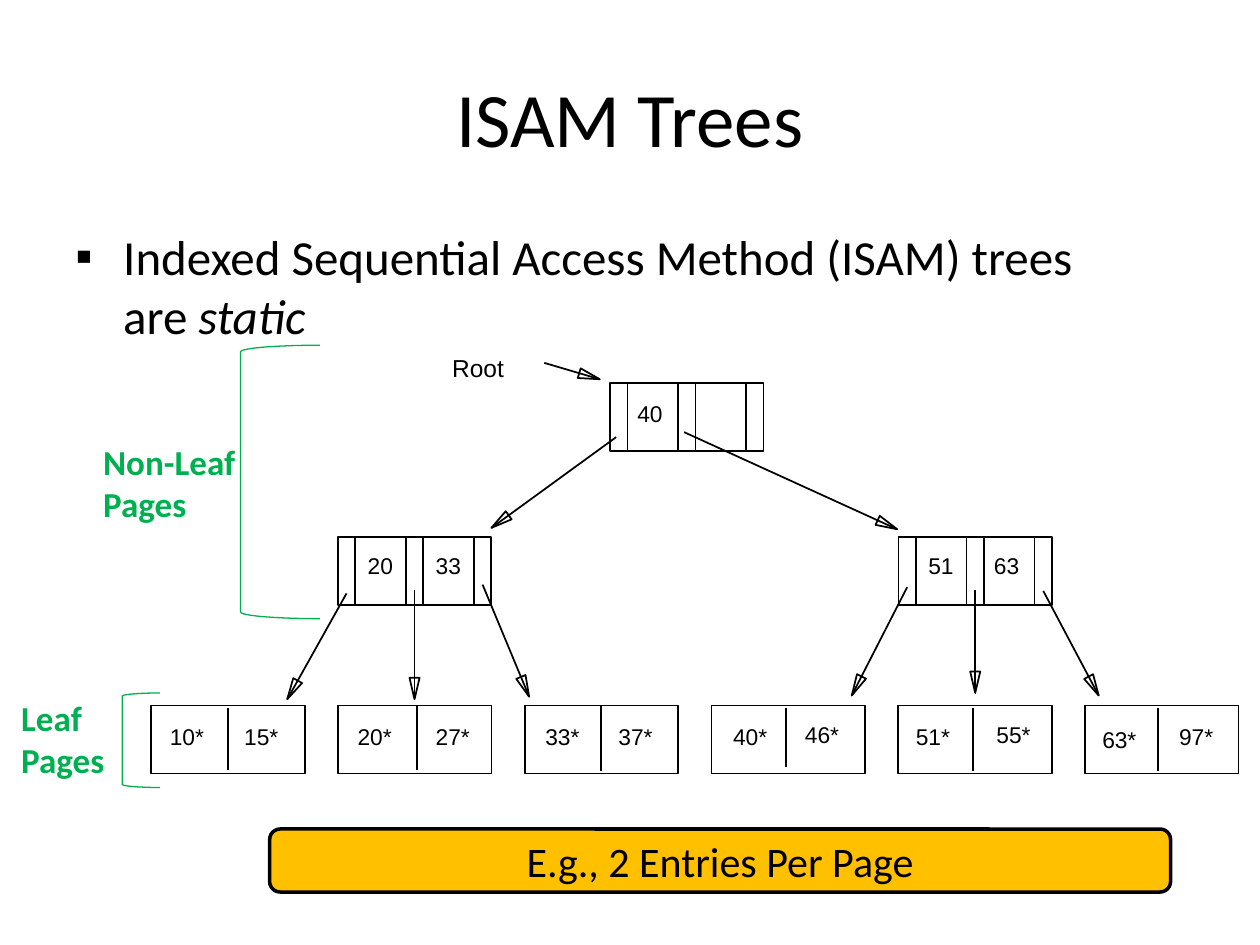
import math

from lxml import etree
from pptx import Presentation
from pptx.dml.color import RGBColor
from pptx.enum import shapes, text
from pptx.oxml import ns
from pptx.util import Inches, Pt

COLORS = {"black": "000000", "green": "00B050", "amber": "FFC000"}

NODE_WIDTH, NODE_HEIGHT = 1.22, 0.54
POINTER_WIDTH, KEY_WIDTH = 0.14, 0.4
LEAF_LEFT, LEAF_TOP, LEAF_STEP = 1.2, 5.6, 7.41 / 5
HEAD_LENGTH, HEAD_HALF_WIDTH = 0.17, 0.04

# Left, top and (text, left, top) of each key
INDEX_NODES = [
    (4.84, 3.04, [("40", 4.96, 3.12)]),
    (2.68, 4.26, [("20", 2.82, 4.33), ("33", 3.36, 4.33)]),
    (7.13, 4.26, [("51", 7.27, 4.33), ("63", 7.79, 4.33)]),
]
# Divider x, top and bottom, then (text, left, top) of each entry
LEAVES = [
    ((1.81, 5.62, 6.11), [("10*", 1.25, 5.69), ("15*", 1.84, 5.69)]),
    ((3.31, 5.6, 6.11), [("20*", 2.74, 5.69), ("27*", 3.36, 5.69)]),
    ((4.77, 5.6, 6.12), [("33*", 4.23, 5.69), ("37*", 4.81, 5.69)]),
    ((6.24, 5.62, 6.09), [("40*", 5.72, 5.69), ("46*", 6.29, 5.67)]),
    ((7.72, 5.62, 6.12), [("51*", 7.17, 5.69), ("55*", 7.81, 5.67)]),
    ((9.19, 5.62, 6.12), [("63*", 8.65, 5.71), ("97*", 9.26, 5.69)]),
]
ARROWS = [
    (4.32, 2.88, 4.76, 3.01),
    (4.89, 3.47, 3.9, 4.19),
    (5.43, 3.43, 7.12, 4.2),
    (2.75, 4.71, 2.28, 5.55),
    (3.29, 4.68, 3.29, 5.55),
    (3.83, 4.64, 4.2, 5.53),
    (7.2, 4.66, 6.76, 5.52),
    (7.74, 4.68, 7.74, 5.5),
    (8.28, 4.69, 8.72, 5.52),
]


def color(name):
    return RGBColor.from_string(COLORS[name])


def style_font(paragraph, size, name="Calibri", color_name="black", bold=False):
    font = paragraph.font
    font.size, font.name, font.bold = Pt(size), name, bold
    font.color.rgb = color(color_name)


def outline(shape, color_name="black", width=1):
    """Give a shape a plain line, no fill and no shadow."""
    shape.shadow.inherit = False
    shape.fill.background()
    shape.line.color.rgb = color(color_name)
    shape.line.width = Pt(width)


def add_text(slide, box, content, size, wrap=False, **font):
    """Add a text box and return it; unwrapped boxes fit their text."""
    shape = slide.shapes.add_textbox(*map(Inches, box))
    frame = shape.text_frame
    frame.word_wrap = wrap
    if not wrap:
        frame.auto_size = text.MSO_AUTO_SIZE.SHAPE_TO_FIT_TEXT
    frame.text = content
    style_font(frame.paragraphs[0], size, **font)
    return shape


def add_title(slide):
    frame = add_text(slide, (0.5, 0.3, 9, 1.25), "ISAM Trees", 44, wrap=True).text_frame
    frame.vertical_anchor = text.MSO_ANCHOR.MIDDLE
    frame.paragraphs[0].alignment = text.PP_ALIGN.CENTER


def add_bullet(slide):
    shape = slide.shapes.add_textbox(*map(Inches, (0.5, 1.75, 9, 5.5)))
    shape.text_frame.word_wrap = True
    paragraph = shape.text_frame.paragraphs[0]
    properties = paragraph._p.get_or_add_pPr()
    properties.set("marL", str(Inches(0.38)))
    properties.set("indent", str(Inches(-0.38)))
    etree.SubElement(properties, ns.qn("a:buFont")).set("typeface", "Arial")
    etree.SubElement(properties, ns.qn("a:buChar")).set("char", "▪")
    style_font(paragraph, 28)
    paragraph.add_run().text = "Indexed Sequential Access Method (ISAM) trees "
    paragraph.add_line_break()
    paragraph.add_run().text = "are "
    emphasis = paragraph.add_run()
    emphasis.text = "static"
    emphasis.font.italic = True


def add_banner(slide):
    shape = slide.shapes.add_shape(
        shapes.MSO_SHAPE.ROUNDED_RECTANGLE, *map(Inches, (2.14, 6.58, 7.15, 0.5)))
    outline(shape, width=2)
    shape.fill.solid()
    shape.fill.fore_color.rgb = color("amber")
    frame = shape.text_frame
    frame.text = "E.g., 2 Entries Per Page"
    frame.vertical_anchor = text.MSO_ANCHOR.MIDDLE
    frame.paragraphs[0].alignment = text.PP_ALIGN.CENTER
    style_font(frame.paragraphs[0], 24)


def add_line(slide, *ends):
    line = slide.shapes.add_connector(
        shapes.MSO_CONNECTOR.STRAIGHT, *map(Inches, ends))
    line.line.color.rgb = color("black")
    line.line.width = Pt(1)
    etree.SubElement(line._element.spPr, ns.qn("a:effectLst"))


def add_arrow(slide, x1, y1, x2, y2):
    """Draw a line that runs to the tip of a hollow triangular head."""
    add_line(slide, x1, y1, x2, y2)
    length = math.hypot(x2 - x1, y2 - y1)
    dx, dy = (x2 - x1) / length, (y2 - y1) / length
    base_x, base_y = x2 - HEAD_LENGTH * dx, y2 - HEAD_LENGTH * dy
    corners = [(Inches(base_x - side * dy), Inches(base_y + side * dx))
               for side in (HEAD_HALF_WIDTH, -HEAD_HALF_WIDTH)]
    builder = slide.shapes.build_freeform(Inches(x2), Inches(y2))
    builder.add_line_segments(corners, close=True)
    outline(builder.convert_to_shape())


def add_node(slide, left, top, keys):
    node = slide.shapes.add_shape(
        shapes.MSO_SHAPE.RECTANGLE,
        *map(Inches, (left, top, NODE_WIDTH, NODE_HEIGHT)))
    outline(node)
    for content, key_left, key_top in keys:
        width = 0.47 if content.endswith("*") else 0.4
        add_text(slide, (key_left, key_top, width, 0.32), content, 13, name="Arial")


def add_index_node(slide, left, top, keys):
    add_node(slide, left, top, keys)
    for slot in range(2):
        pointer_right = left + POINTER_WIDTH + slot * (POINTER_WIDTH + KEY_WIDTH)
        for x in (pointer_right, pointer_right + KEY_WIDTH):
            add_line(slide, x, top, x, top + NODE_HEIGHT)


def add_level_label(slide, bracket_box, label_box, content):
    bracket = slide.shapes.add_shape(
        shapes.MSO_SHAPE.LEFT_BRACKET, *map(Inches, bracket_box))
    outline(bracket, "green", 0.75)
    add_text(slide, label_box, content, 20, color_name="green", bold=True)


def main():
    presentation = Presentation()
    presentation.slide_width, presentation.slide_height = Inches(10), Inches(7.5)
    slide = presentation.slides.add_slide(presentation.slide_layouts[6])
    add_title(slide)
    add_bullet(slide)
    add_banner(slide)
    for index, ((x, top, bottom), entries) in enumerate(LEAVES):
        add_node(slide, LEAF_LEFT + index * LEAF_STEP, LEAF_TOP, entries)
        add_line(slide, x, top, x, bottom)
    for node in INDEX_NODES:
        add_index_node(slide, *node)
    for arrow in ARROWS:
        add_arrow(slide, *arrow)
    add_text(slide, (3.49, 2.75, 0.64, 0.33), "Root", 14, name="Arial")
    add_level_label(slide, (1.91, 2.74, 0.63, 2.17),
                    (0.72, 3.45, 1.32, 0.77), "Non-Leaf \vPages")
    add_level_label(slide, (0.97, 5.5, 0.3, 0.75),
                    (0.07, 5.48, 0.87, 0.77), "Leaf \vPages")
    presentation.save("out.pptx")


if __name__ == "__main__":
    main()
